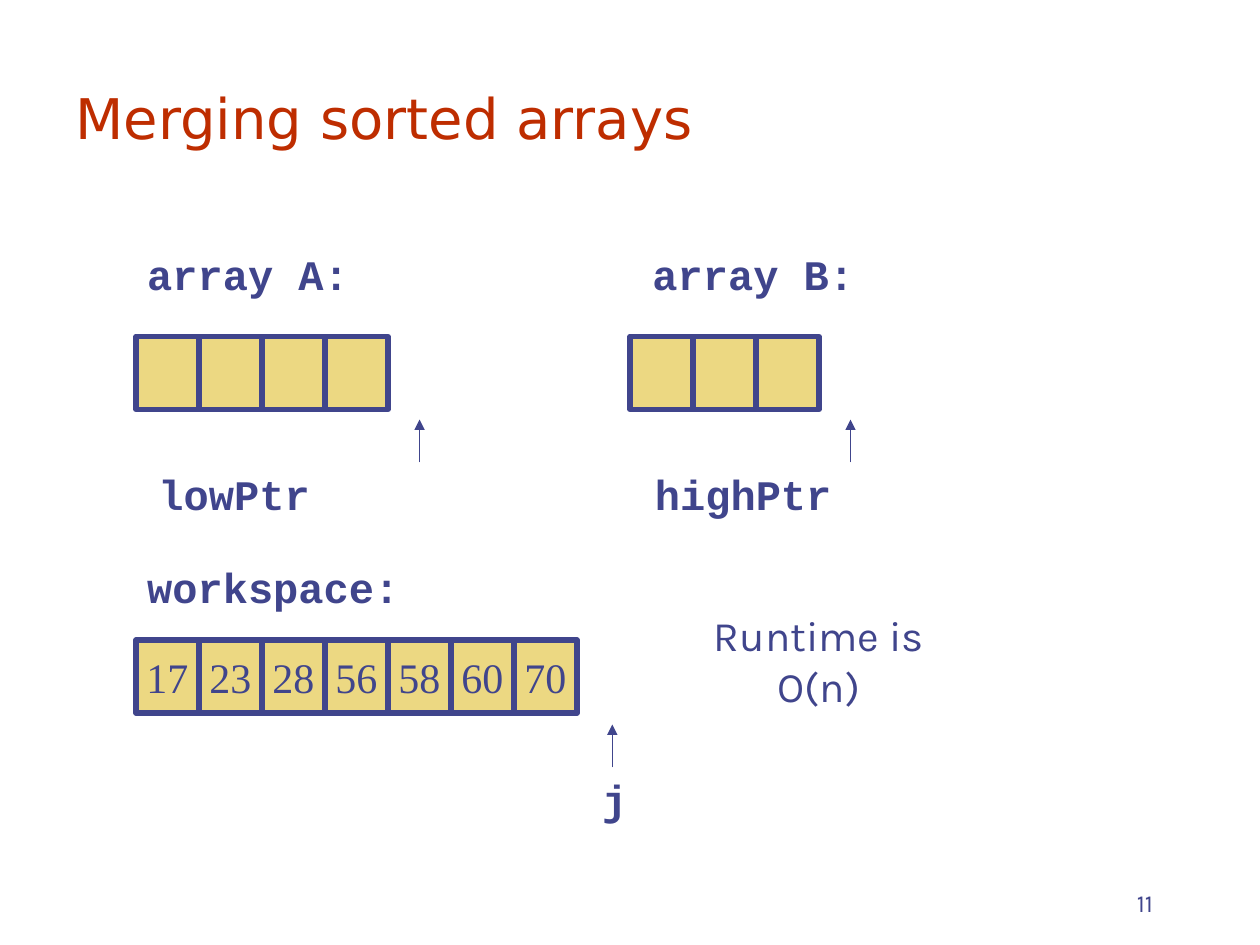
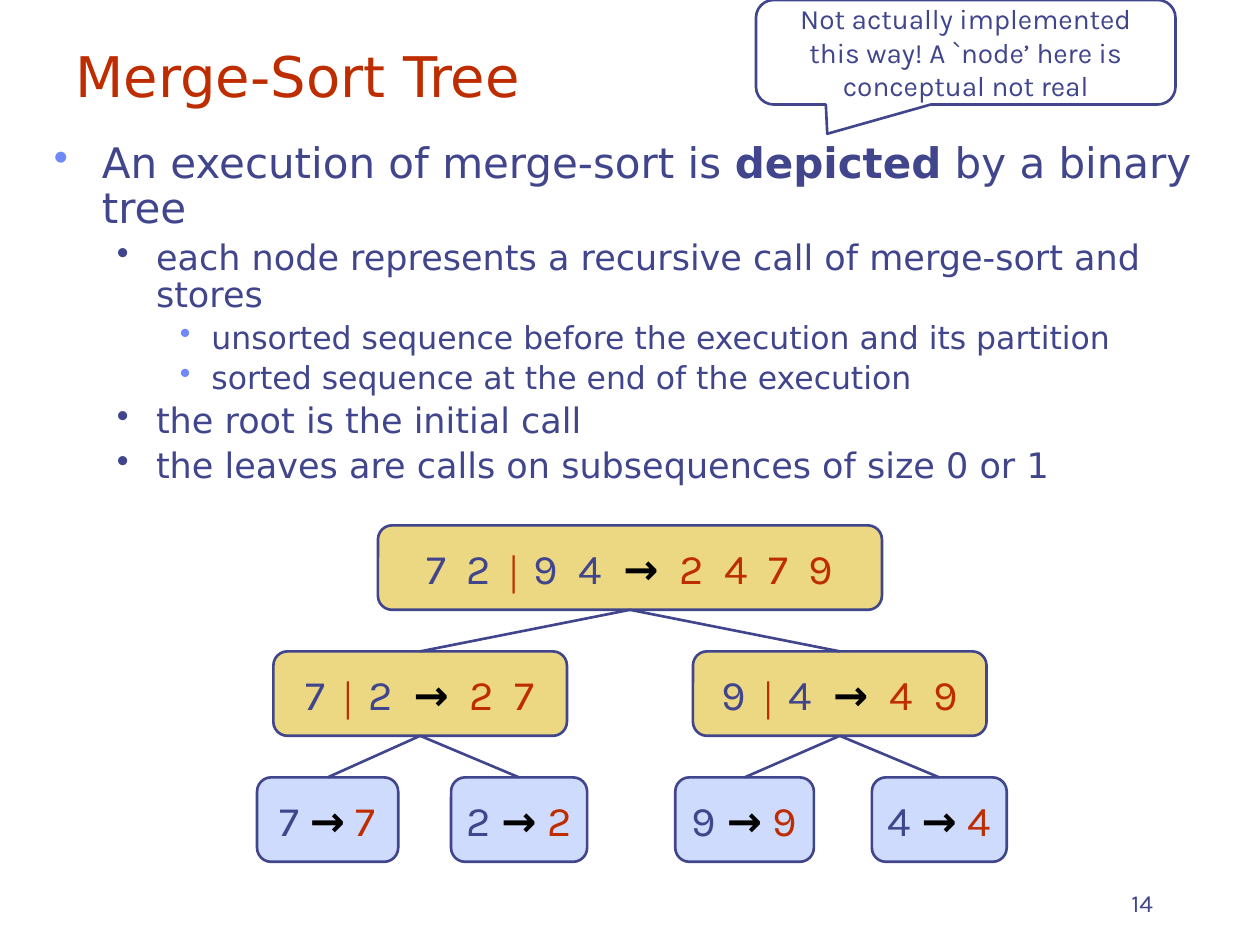
from lxml import etree
from pptx import Presentation
from pptx.dml.color import RGBColor
from pptx.enum.shapes import MSO_CONNECTOR, MSO_SHAPE
from pptx.enum.text import MSO_ANCHOR, MSO_AUTO_SIZE, PP_ALIGN
from pptx.oxml.ns import qn
from pptx.util import Inches, Pt

INDIGO = RGBColor(0x40, 0x45, 0x8C)
RUST = RGBColor(0xBE, 0x2D, 0x00)
SAND = RGBColor(0xEC, 0xD8, 0x82)
PALE_BLUE = RGBColor(0xCF, 0xDB, 0xFD)
BULLET_BLUE = RGBColor(0x6F, 0x89, 0xF7)
BLACK = RGBColor(0, 0, 0)

SANS, BODY, MONO, SERIF, ARIAL = (
    "DejaVu Sans", "Karla", "Courier New", "Times New Roman", "Arial")

LEFT, CENTER, RIGHT = PP_ALIGN.LEFT, PP_ALIGN.CENTER, PP_ALIGN.RIGHT
TOP, MIDDLE, BOTTOM = MSO_ANCHOR.TOP, MSO_ANCHOR.MIDDLE, MSO_ANCHOR.BOTTOM
NO_FIT = MSO_AUTO_SIZE.NONE
STRAIGHT = MSO_CONNECTOR.STRAIGHT
RECT, ROUND_RECT = MSO_SHAPE.RECTANGLE, MSO_SHAPE.ROUNDED_RECTANGLE
CALLOUT = MSO_SHAPE.ROUNDED_RECTANGULAR_CALLOUT

TITLE_ONLY = 5
CELL_W, CELL_H = 0.5, 0.58
NODE_H = 0.67
TOP_SITE, BOTTOM_SITE = 0, 2

# Per level: size, left margin, hanging indent, bullet colour
LEVELS = [(24, 0.38, 0.38, BULLET_BLUE),
          (20, 0.81, 0.31, INDIGO),
          (18, 1.25, 0.25, BULLET_BLUE)]


def add_run(p, text, size=24, font=BODY, color=INDIGO, bold=False, spacing=0):
    r = p.add_run()
    r.text = text
    r.font.size, r.font.name, r.font.bold = Pt(size), font, bold
    r.font.color.rgb = color
    if spacing:
        r.font._element.set("spc", str(spacing * 100))


def write(sp, text, align=LEFT, anchor=TOP, wrap=True, **fmt):
    """Fill a shape with one paragraph; text is a string or (text, format) pairs."""
    tf = sp.text_frame
    tf.auto_size, tf.word_wrap, tf.vertical_anchor = NO_FIT, wrap, anchor
    p = tf.paragraphs[0]
    p.alignment = align
    runs = [(text, fmt)] if isinstance(text, str) else text
    for run_text, run_fmt in runs:
        add_run(p, run_text, **run_fmt)


def add_text(slide, box, text, **fmt):
    sp = slide.shapes.add_textbox(*map(Inches, box))
    write(sp, text, **fmt)


def add_box(slide, kind, box, fill=None, line_width=1.5):
    sp = slide.shapes.add_shape(kind, *map(Inches, box))
    sp.shadow.inherit = False
    if fill is None:
        sp.fill.background()
    else:
        sp.fill.solid()
        sp.fill.fore_color.rgb = fill
    sp.line.color.rgb = INDIGO
    sp.line.width = Pt(line_width)
    return sp


def add_line(slide, start=(0, 0), end=(0, 0), width=1.5, arrow=False):
    line = slide.shapes.add_connector(STRAIGHT, *map(Inches, (*start, *end)))
    line.line.color.rgb = INDIGO
    line.line.width = Pt(width)
    if arrow:
        etree.SubElement(line.line._get_or_add_ln(), qn("a:tailEnd"), type="triangle")
    etree.SubElement(line._element.spPr, qn("a:effectLst"))
    return line


def new_slide(prs, title, title_height, number):
    slide = prs.slides.add_slide(prs.slide_layouts[TITLE_ONLY])
    sp = slide.shapes.title
    sp.left, sp.top, sp.width, sp.height = map(
        Inches, (0.5, 0.33, 8.67, title_height))
    write(sp, title, anchor=BOTTOM, size=32, font=SANS, color=RUST)
    add_text(slide, (7.17, 6.83, 2.08, 0.5), number,
             align=RIGHT, anchor=BOTTOM, size=14)
    return slide


def add_code_label(slide, left, top, text):
    add_text(slide, (left, top, 0.2 * len(text) + 0.2, 0.5), text,
             wrap=False, font=MONO, bold=True)


def add_array(slide, left, top, values):
    for i, value in enumerate(values):
        cell = add_box(slide, RECT, (left + i * CELL_W, top, CELL_W, CELL_H),
                       fill=SAND, line_width=3)
        if value:
            write(cell, value, align=CENTER, anchor=MIDDLE, wrap=False, font=SERIF)


def add_pointer(slide, x, tip, label, label_left):
    """Upward arrow with its variable name below."""
    tail = tip + 0.34
    add_line(slide, (x, tail), (x, tip), width=0.75, arrow=True)
    add_code_label(slide, label_left, tail, label)


def build_merging_slide(prs):
    slide = new_slide(prs, "Merging sorted arrays", 0.92, "11")
    sorted_values = ["17", "23", "28", "56", "58", "60", "70"]
    for left, top, values in [(1.08, 2.67, [""] * 4),
                              (5, 2.67, [""] * 3),
                              (1.08, 5.08, sorted_values)]:
        add_array(slide, left, top, values)
    for left, top, label in [(1.07, 1.92, "array A:"),
                             (5.08, 1.92, "array B:"),
                             (1.07, 4.41, "workspace:")]:
        add_code_label(slide, left, top, label)
    for x, tip, label, label_left in [(3.33, 3.33, "lowPtr", 1.16),
                                      (6.75, 3.33, "highPtr", 5.1),
                                      (4.86, 5.75, "j", 4.68)]:
        add_pointer(slide, x, tip, label, label_left)
    add_text(slide, (5.5, 4.79, 2, 0.9), "Runtime is O(n)", align=CENTER)


def add_bullets(slide, box, items):
    tf = slide.shapes.add_textbox(*map(Inches, box)).text_frame
    tf.word_wrap = True
    for i, (level, runs) in enumerate(items):
        size, margin, hanging, bullet_color = LEVELS[level]
        p = tf.paragraphs[0] if i == 0 else tf.add_paragraph()
        pPr = p._p.get_or_add_pPr()
        pPr.set("marL", str(Inches(margin)))
        pPr.set("indent", str(-Inches(hanging)))
        color = etree.SubElement(pPr, qn("a:buClr"))
        etree.SubElement(color, qn("a:srgbClr"), val=str(bullet_color))
        etree.SubElement(pPr, qn("a:buChar"), char="•")
        p.level = level
        p.line_spacing = 0.9
        if i:
            p.space_before = Pt(0.2 * size)
        for text, bold in runs:
            add_run(p, text, size=size, font=SANS, bold=bold)


def add_node(slide, left, top, width, halves, result):
    """Tree node: unsorted input, split by a bar if it has two halves, and its result."""
    is_leaf = len(halves) == 1
    spacing = 0 if is_leaf else 3
    runs = [(halves[0], {"spacing": spacing})]
    for half in halves[1:]:
        runs += [(" │ ", {"size": 18, "font": ARIAL, "color": RUST, "bold": True}),
                 (half, {"spacing": spacing})]
    runs += [(" → ", {"color": BLACK, "bold": True, "spacing": spacing}),
             (result, {"color": RUST, "spacing": spacing})]
    sp = add_box(slide, ROUND_RECT, (left, top, width, NODE_H),
                 fill=PALE_BLUE if is_leaf else SAND)
    write(sp, runs, align=CENTER, anchor=MIDDLE, wrap=False)
    return sp


def add_tree(slide, left, top):
    # Level by level: offset from the left edge, width, halves, result
    levels = [
        [(0.96, 4, ["7 2", "9 4"], "2 4 7 9")],
        [(0.13, 2.33, ["7", "2"], "2 7"), (3.46, 2.33, ["9", "4"], "4 9")],
        [(0, 1.12, ["7"], "7"), (1.54, 1.08, ["2"], "2"),
         (3.32, 1.1, ["9"], "9"), (4.88, 1.07, ["4"], "4")],
    ]
    parents = []
    for depth, level in enumerate(levels):
        nodes = [add_node(slide, left + dx, top + depth, width, halves, result)
                 for dx, width, halves, result in level]
        if parents:
            for i, node in enumerate(nodes):
                line = add_line(slide)
                line.begin_connect(parents[i // 2], BOTTOM_SITE)
                line.end_connect(node, TOP_SITE)
        parents = nodes


def add_callout(slide, box, text):
    sp = add_box(slide, CALLOUT, box)
    for i, value in enumerate((-0.33, 0.78, 0.17)):
        sp.adjustments[i] = value
    write(sp, text, align=CENTER, anchor=MIDDLE, size=16)


def build_tree_slide(prs):
    slide = new_slide(prs, "Merge-Sort Tree", 0.58, "14")
    add_bullets(slide, (0.33, 1.08, 9.42, 3), [
        (0, [("An execution of merge-sort is ", False), ("depicted", True),
             (" by a binary tree", False)]),
        (1, [("each node represents a recursive call of merge-sort and stores", False)]),
        (2, [("unsorted sequence before the execution and its partition", False)]),
        (2, [("sorted sequence at the end of the execution", False)]),
        (1, [("the root is the initial call", False)]),
        (1, [("the leaves are calls on subsequences of size 0 or 1", False)]),
    ])
    add_tree(slide, 2.04, 4.17)
    add_callout(slide, (6, 0, 3.33, 0.83),
                "Not actually implemented this way! A `node’ here is conceptual not real")


def main():
    prs = Presentation()
    prs.slide_width, prs.slide_height = Inches(10), Inches(7.5)
    build_merging_slide(prs)
    build_tree_slide(prs)
    prs.save("out.pptx")


if __name__ == "__main__":
    main()
